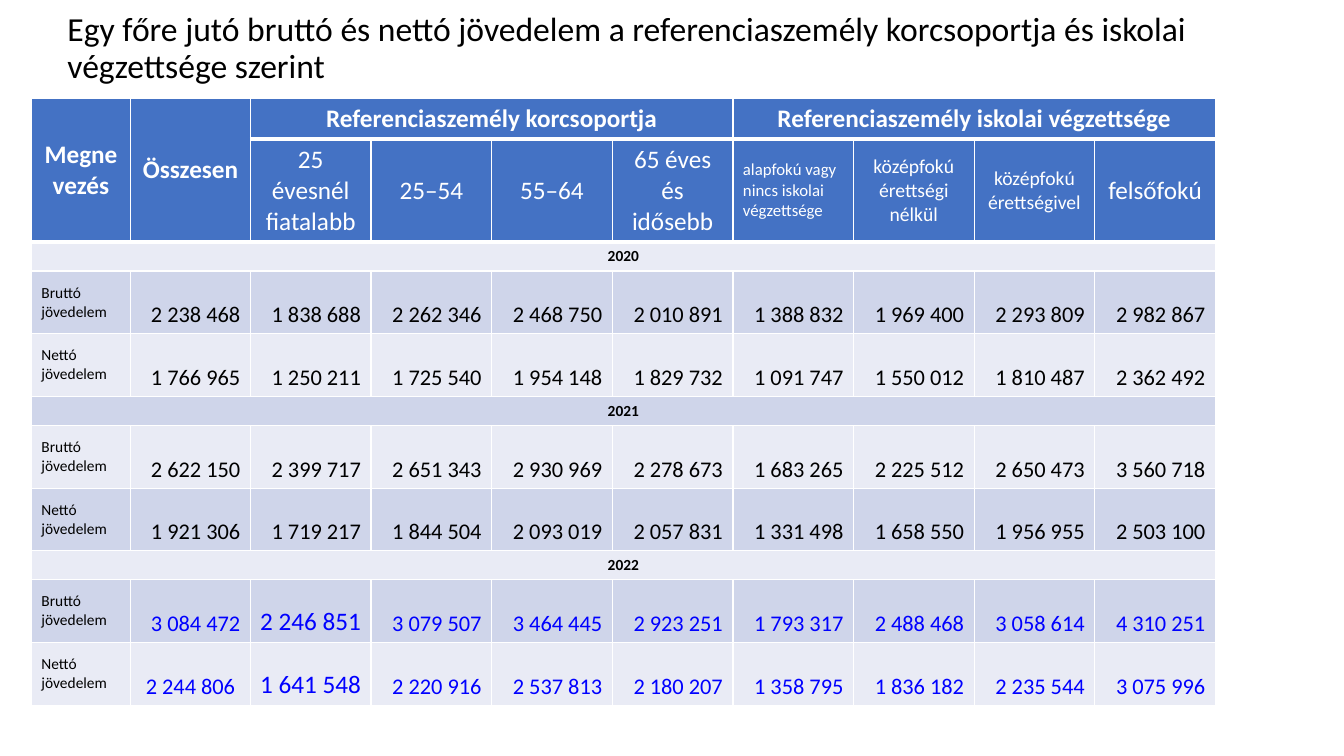
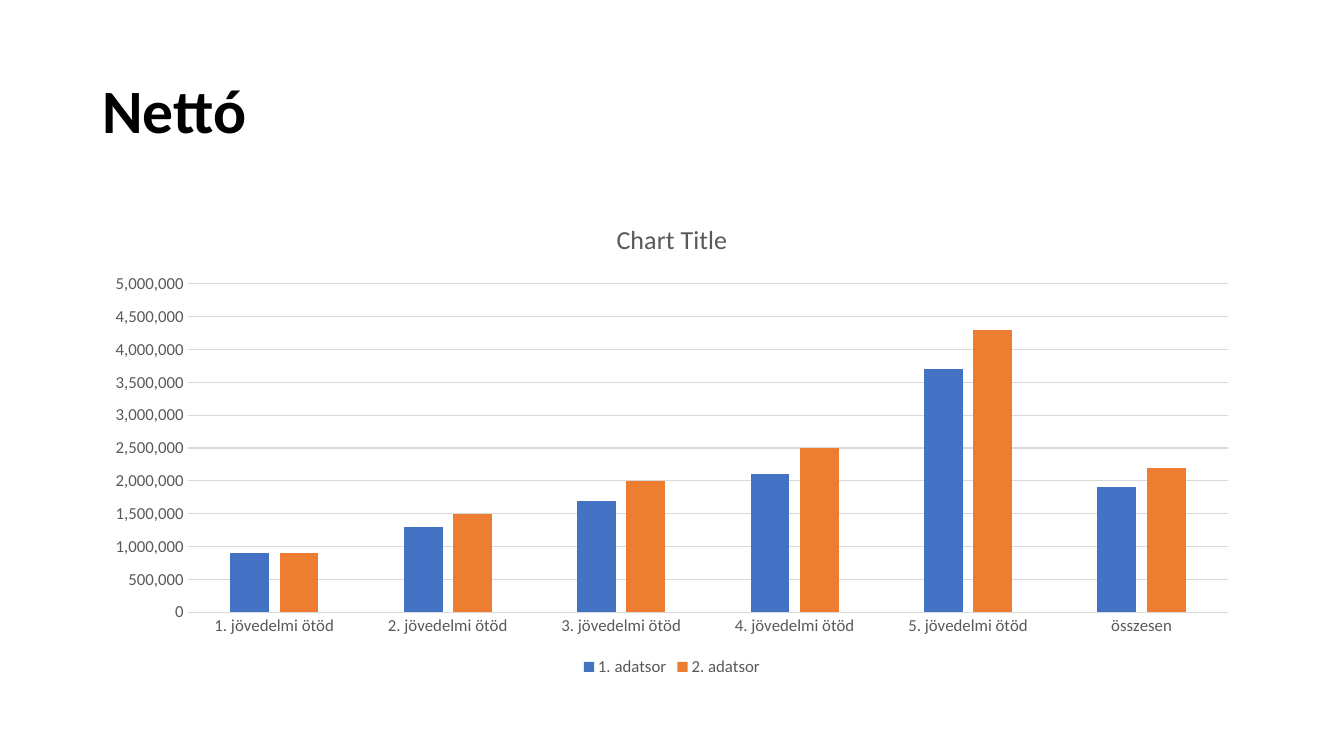
from dataclasses import dataclass

from lxml import etree
from pptx import Presentation
from pptx import util as u
from pptx.chart import data as chart_data
from pptx.dml.color import RGBColor
from pptx.enum import chart as charts
from pptx.enum import text
from pptx.oxml import ns


@dataclass(frozen=True)
class Theme:
    font: str = "Calibri"
    black: str = "000000"
    white: str = "FFFFFF"
    header: str = "4472C4"
    bands: tuple = ("E9EBF5", "CFD5EA")
    latest: str = "0000FF"
    grey: str = "595959"
    grid: str = "D9D9D9"
    series: tuple = ("4472C4", "ED7D31")
    long_title: int = 24
    short_title: int = 44
    heading: int = 18
    heading_medium: int = 14
    heading_small: int = 12
    number: int = 16
    label: int = 11
    chart_title: float = 18.6
    chart_text: int = 12


theme = Theme()
LEFT, CENTER, RIGHT = (text.PP_ALIGN.LEFT, text.PP_ALIGN.CENTER,
                       text.PP_ALIGN.RIGHT)
MIDDLE, BOTTOM = text.MSO_ANCHOR.MIDDLE, text.MSO_ANCHOR.BOTTOM


def write(frame, words, size, color, bold=False, align=LEFT):
    """Fill the first paragraph of a text frame with one styled run."""
    paragraph = frame.paragraphs[0]
    paragraph.alignment = align
    run = paragraph.add_run()
    run.text = words
    run.font.name = theme.font
    run.font.size = u.Pt(size)
    run.font.bold = bold
    run.font.color.rgb = RGBColor.from_string(color)
    return paragraph


def paint_cell(cell, fill, bottom_width=1):
    """Give a cell white borders and a solid fill."""
    properties = cell._tc.get_or_add_tcPr()
    for side in "LRTB":
        width = bottom_width if side == "B" else 1
        line = etree.SubElement(properties, ns.qn(f"a:ln{side}"),
                                w=str(u.Pt(width)))
        solid = etree.SubElement(line, ns.qn("a:solidFill"))
        etree.SubElement(solid, ns.qn("a:srgbClr"), val=theme.white)
    cell.fill.solid()
    cell.fill.fore_color.rgb = RGBColor.from_string(fill)


presentation = Presentation()
presentation.slide_width = u.Cm(33.87)
presentation.slide_height = u.Cm(19.05)

# Slides and their titles: words, size, bold, left, top, height
titles = [
    ("Egy főre jutó bruttó és nettó jövedelem a referenciaszemély "
     "korcsoportja és iskolai végzettsége szerint",
     theme.long_title, False, 1.45, 0, 2.48),
    ("Nettó", theme.short_title, True, 2.33, 1.01, 3.68),
]
slides = []
for words, size, bold, left, top, height in titles:
    slide = presentation.slides.add_slide(presentation.slide_layouts[6])
    box = slide.shapes.add_textbox(u.Cm(left), u.Cm(top),
                                   u.Cm(29.21), u.Cm(height))
    frame = box.text_frame
    frame.word_wrap = True
    frame.vertical_anchor = MIDDLE
    paragraph = write(frame, words, size, theme.black, bold)
    paragraph.line_spacing = 0.9
    slides.append(slide)
table_slide, chart_slide = slides

# Income table
incomes = {
    "2020": [
        [2238468, 1838688, 2262346, 2468750, 2010891,
         1388832, 1969400, 2293809, 2982867],
        [1766965, 1250211, 1725540, 1954148, 1829732,
         1091747, 1550012, 1810487, 2362492],
    ],
    "2021": [
        [2622150, 2399717, 2651343, 2930969, 2278673,
         1683265, 2225512, 2650473, 3560718],
        [1921306, 1719217, 1844504, 2093019, 2057831,
         1331498, 1658550, 1956955, 2503100],
    ],
    "2022": [
        [3084472, 2246851, 3079507, 3464445, 2923251,
         1793317, 2488468, 3058614, 4310251],
        [2244806, 1641548, 2220916, 2537813, 2180207,
         1358795, 1836182, 2235544, 3075996],
    ],
}
income_kinds = ["Bruttó jövedelem", "Nettó jövedelem"]
column_widths = [2.5, 3.02] + [3.04] * 8
row_heights = [1.04, 2.59] + [0.73, 1.58, 1.58] * len(incomes)

table = table_slide.shapes.add_table(
    len(row_heights), len(column_widths), u.Cm(0.79), u.Cm(2.47),
    u.Cm(sum(column_widths)), u.Cm(sum(row_heights))).table
for column, width in zip(table.columns, column_widths):
    column.width = u.Cm(width)
for row_index, height in enumerate(row_heights):
    table.rows[row_index].height = u.Cm(height)
    fill = theme.header if row_index < 2 else theme.bands[row_index % 2]
    for cell in table.rows[row_index].cells:
        paint_cell(cell, fill, bottom_width=3 if row_index == 0 else 1)
        cell.vertical_anchor = MIDDLE

# Top headings: column, words, last row and last column covered
for column, words, last_row, last_column in [
        (0, "Megnevezés", 1, 0),
        (1, "Összesen", 1, 1),
        (2, "Referenciaszemély korcsoportja", 0, 5),
        (6, "Referenciaszemély iskolai végzettsége", 0, 9)]:
    cell = table.cell(0, column)
    cell.merge(table.cell(last_row, last_column))
    write(cell.text_frame, words, theme.heading, theme.white, True, CENTER)

subheadings = [
    ("25 évesnél fiatalabb", theme.heading, CENTER),
    ("25–54", theme.heading, CENTER),
    ("55–64", theme.heading, CENTER),
    ("65 éves és idősebb", theme.heading, CENTER),
    ("alapfokú vagy nincs iskolai végzettsége", theme.heading_small, LEFT),
    ("középfokú érettségi nélkül", theme.heading_medium, CENTER),
    ("középfokú érettségivel", theme.heading_medium, CENTER),
    ("felsőfokú", theme.heading, CENTER),
]
for column, (words, size, align) in enumerate(subheadings, start=2):
    write(table.cell(1, column).text_frame, words, size, theme.white,
          align=align)

for year_index, (year, year_rows) in enumerate(incomes.items()):
    year_row = 2 + 3 * year_index
    year_cell = table.cell(year_row, 0)
    year_cell.merge(table.cell(year_row, len(column_widths) - 1))
    write(year_cell.text_frame, year, theme.label, theme.black, True, CENTER)
    is_latest = year == "2022"
    color = theme.latest if is_latest else theme.black
    for row, (kind, amounts) in enumerate(zip(income_kinds, year_rows),
                                          start=year_row + 1):
        write(table.cell(row, 0).text_frame, kind, theme.label, theme.black)
        for column, amount in enumerate(amounts, start=1):
            cell = table.cell(row, column)
            cell.vertical_anchor = BOTTOM
            size = (theme.heading if is_latest and column == 2
                    else theme.number)
            is_last_total = row == len(row_heights) - 1 and column == 1
            align = CENTER if is_last_total else RIGHT
            if align == RIGHT:
                cell.margin_left = u.Cm(0.1)
            write(cell.text_frame, f"{amount:,}".replace(",", " "),
                  size, color, align=align)

# Net income by quintile
quintiles = chart_data.CategoryChartData(number_format="#,##0")
quintiles.categories = ([f"{number}. jövedelmi ötöd" for number in range(1, 6)]
                        + ["összesen"])
quintiles.add_series("1. adatsor", [900000, 1300000, 1700000,
                                    2100000, 3700000, 1900000])
quintiles.add_series("2. adatsor", [900000, 1500000, 2000000,
                                    2500000, 4300000, 2200000])
chart = chart_slide.shapes.add_chart(
    charts.XL_CHART_TYPE.COLUMN_CLUSTERED, u.Cm(2.33), u.Cm(5.07),
    u.Cm(29.21), u.Cm(12.09), quintiles).chart
chart.font.name = theme.font
chart.font.size = u.Pt(theme.chart_text)
chart.font.color.rgb = RGBColor.from_string(theme.grey)
chart.has_title = True
write(chart.chart_title.text_frame, "Chart Title", theme.chart_title,
      theme.grey, align=CENTER)
chart.chart_title.include_in_layout = False
chart.has_legend = True
chart.legend.position = charts.XL_LEGEND_POSITION.BOTTOM
chart.legend.include_in_layout = False

plot = chart.plots[0]
plot.gap_width = 219
plot.overlap = -27
plot.vary_by_categories = False
for series, color in zip(plot.series, theme.series):
    series.format.fill.solid()
    series.format.fill.fore_color.rgb = RGBColor.from_string(color)

category_axis, value_axis = chart.category_axis, chart.value_axis
for axis in (category_axis, value_axis):
    axis.major_tick_mark = charts.XL_TICK_MARK.NONE
    axis.minor_tick_mark = charts.XL_TICK_MARK.NONE
value_axis.minimum_scale = 0
value_axis.maximum_scale = 5000000
value_axis.major_unit = 500000
value_axis.tick_labels.number_format = "#,##0"
value_axis.tick_labels.number_format_is_linked = False
value_axis.format.line.fill.background()
for line in (category_axis.format.line, value_axis.major_gridlines.format.line):
    line.width = u.Pt(0.75)
    line.color.rgb = RGBColor.from_string(theme.grid)

presentation.save("out.pptx")
